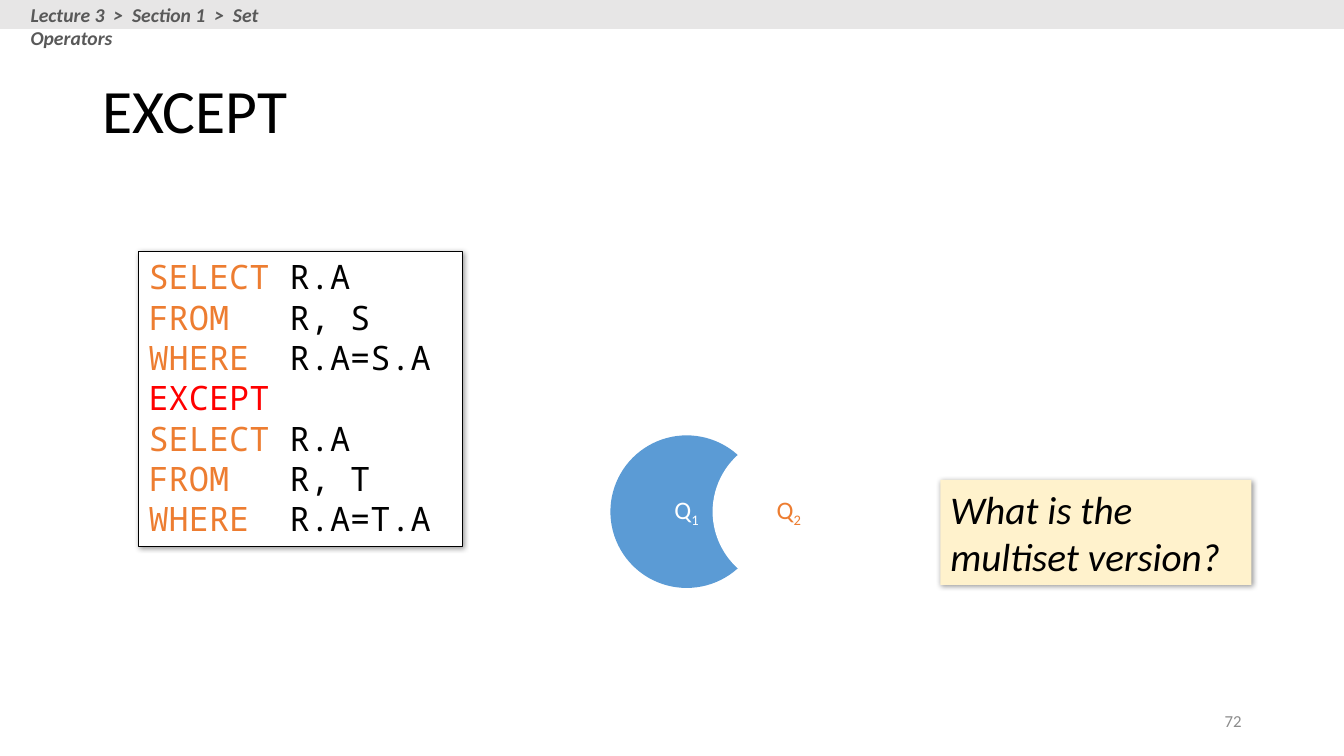
from lxml import etree
from pptx import Presentation
from pptx.dml.color import RGBColor
from pptx.enum.shapes import MSO_SHAPE as SHAPE
from pptx.enum.text import MSO_ANCHOR as ANCHOR, MSO_AUTO_SIZE as FIT, PP_ALIGN as ALIGN
from pptx.oxml import parse_xml
from pptx.oxml.ns import nsdecls
from pptx.util import Pt

COLORS = {
    "black": "000000", "white": "FFFFFF", "keyword": "ED7D31", "operator": "FF0000",
    "band": "E7E6E6", "crumb": "595959", "number": "8C8C8C",
    "first": "5B9BD5", "note": "FFF2CC",
}


def add_box(parent, place, fill=None, preset=SHAPE.RECTANGLE, shadow=False):
    left, top, width, height = [Pt(length) for length in place]
    if fill is None:
        box = parent.add_textbox(left, top, width, height)
    else:
        box = parent.add_shape(preset, left, top, width, height)
        box.shadow.inherit = False
        box.fill.solid()
        box.fill.fore_color.rgb = RGBColor.from_string(COLORS[fill])
        box.line.fill.background()
    box.text_frame.word_wrap = True
    if shadow:
        effects = box._element.spPr.find("{*}effectLst")
        effects.append(parse_xml(
            f'<a:outerShdw {nsdecls("a")} blurRad="{Pt(4)}" dist="{Pt(1)}" dir="2700000" '
            'algn="tl" rotWithShape="0"><a:srgbClr val="000000"><a:alpha val="40000"/>'
            '</a:srgbClr></a:outerShdw>'))
    return box


def add_run(paragraph, text, color, size, align=ALIGN.LEFT, face="Calibri", **style):
    paragraph.alignment = align
    run = paragraph.add_run()
    run.text = text
    run.font.color.rgb = RGBColor.from_string(COLORS[color])
    for name, value in {"size": Pt(size), "name": face, **style}.items():
        setattr(run.font, name, value)
    return run


deck = Presentation()
deck.slide_width, deck.slide_height = Pt(960), Pt(540)
slide = deck.slides.add_slide(deck.slide_layouts[6])

title = add_box(slide.shapes, (66, 28.75, 828, 104.4)).text_frame
title.vertical_anchor = ANCHOR.MIDDLE
title.paragraphs[0].line_spacing = 0.9
add_run(title.paragraphs[0], "EXCEPT", "black", 44)

page_number = add_box(slide.shapes, (678, 500.5, 216, 28.75)).text_frame
page_number.vertical_anchor = ANCHOR.MIDDLE
add_run(page_number.paragraphs[0], "72", "number", 12, ALIGN.RIGHT)

query = add_box(slide.shapes, (99, 179.5, 231.5, 211), "white", shadow=True)
query.line.color.rgb = RGBColor.from_string(COLORS["black"])
query.line.width = Pt(0.75)
query.text_frame.vertical_anchor = ANCHOR.TOP
query.text_frame.auto_size = FIT.SHAPE_TO_FIT_TEXT
clauses = [
    ("SELECT", " R.A"), ("FROM", "   R, S"), ("WHERE", "  R.A=S.A"),
    ("EXCEPT", ""),
    ("SELECT", " R.A"), ("FROM", "   R, T"), ("WHERE", "  R.A=T.A"),
]
for index, (keyword, operands) in enumerate(clauses):
    clause = query.text_frame.add_paragraph() if index else query.text_frame.paragraphs[0]
    color = "keyword" if operands else "operator"
    add_run(clause, keyword, color, 24, face="Noto Sans Mono")
    if operands:
        add_run(clause, operands, "black", 24, face="Noto Sans Mono")

header = slide.shapes.add_group_shape().shapes
add_box(header, (0, 0, 960, 20.75), "band")
breadcrumb = add_box(header, (14.75, -1.5, 235.5, 24.25)).text_frame
add_run(breadcrumb.paragraphs[0], "Lecture 3  >  Section 1  >  Set Operators",
        "crumb", 14, bold=True, italic=True)

venn = slide.shapes.add_group_shape().shapes
circles = [("1", "first", "white"), ("2", "white", "keyword")]
for index, (subscript, fill, color) in enumerate(circles):
    circle = add_box(venn, (436 + 73 * index, 311, 109, 109), fill, SHAPE.OVAL).text_frame
    circle.vertical_anchor = ANCHOR.MIDDLE
    add_run(circle.paragraphs[0], "Q", color, 18, ALIGN.CENTER)
    lowered = add_run(circle.paragraphs[0], subscript, color, 18, ALIGN.CENTER)
    lowered.font._element.set("baseline", "-25000")

question = add_box(slide.shapes, (671.75, 342.75, 222.25, 75.1), "note", shadow=True).text_frame
question.vertical_anchor = ANCHOR.TOP
question.auto_size = FIT.SHAPE_TO_FIT_TEXT
add_run(question.paragraphs[0], "What is the multiset version?", "black", 28, italic=True)

deck.save("out.pptx")
